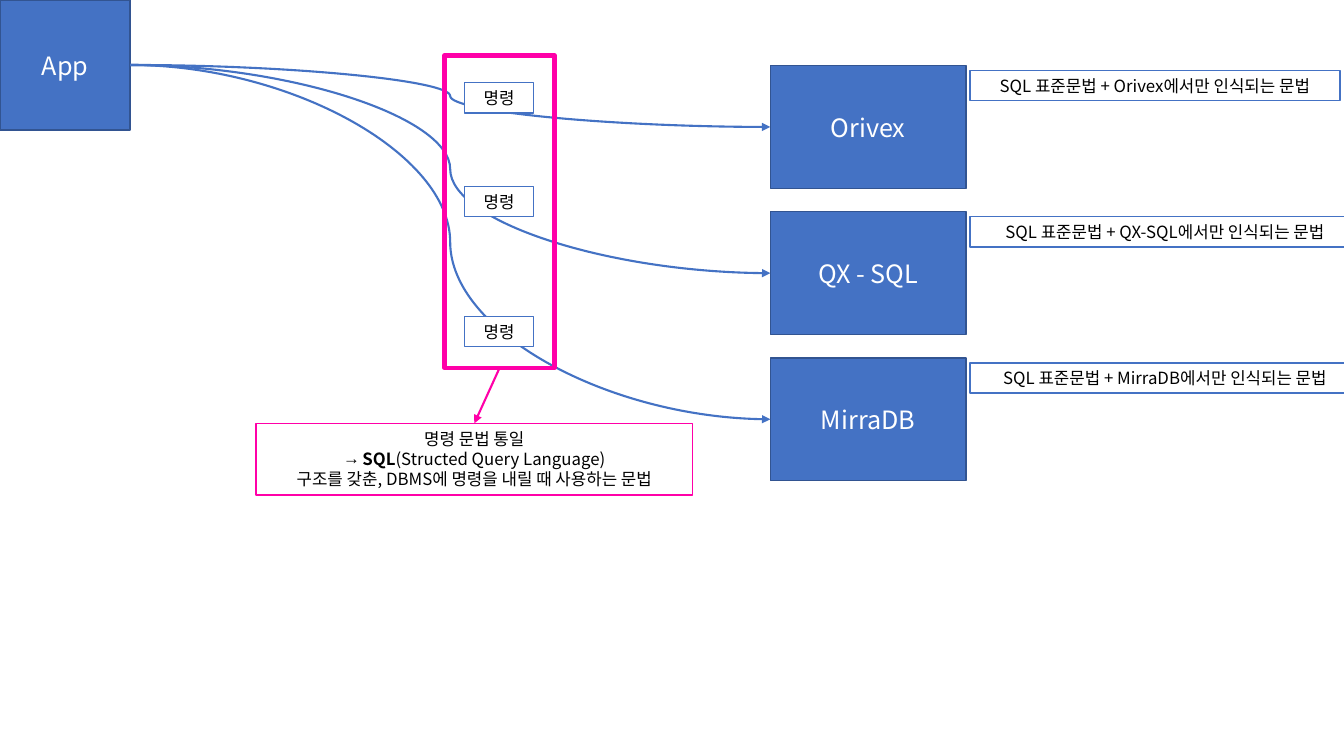
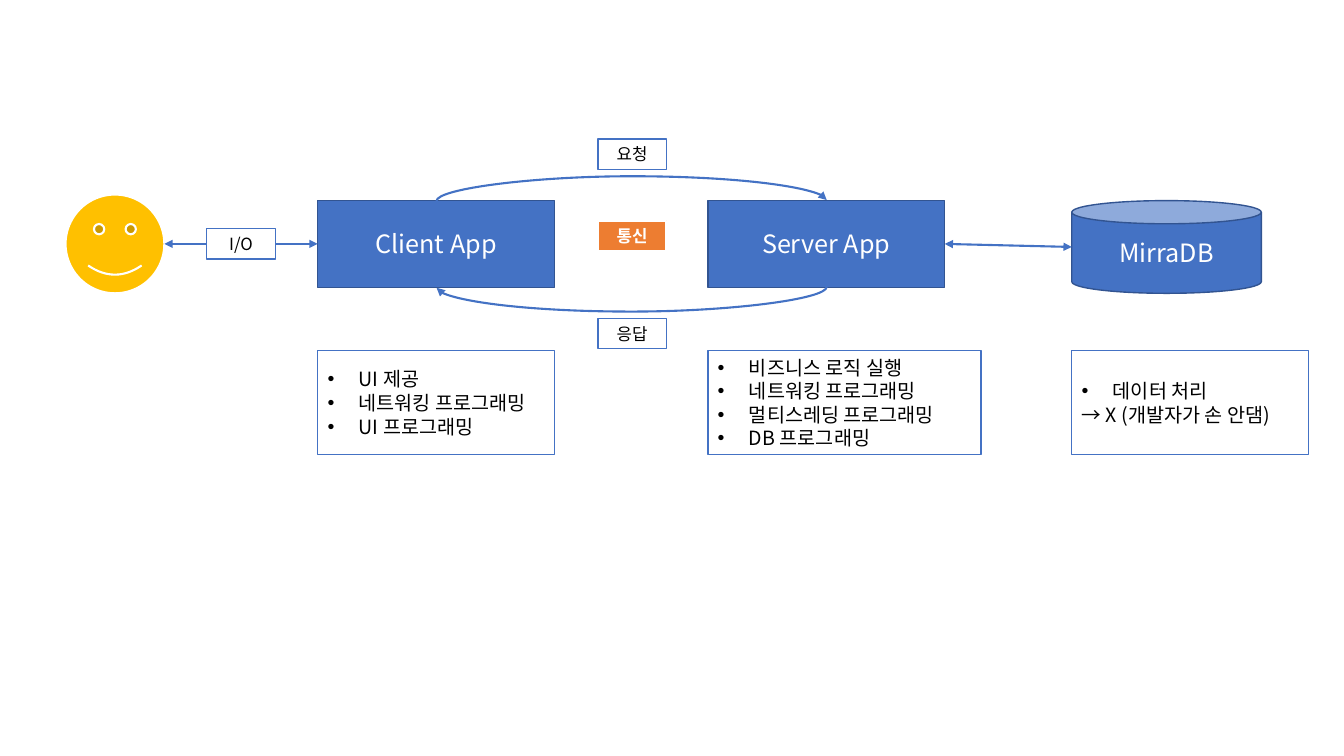
from dataclasses import dataclass

from lxml.etree import SubElement
from pptx import Presentation
from pptx.dml.color import RGBColor as RGB
from pptx.enum.shapes import MSO_CONNECTOR as CXN, MSO_SHAPE as SHAPE
from pptx.enum.text import MSO_ANCHOR as ANCHOR, MSO_AUTO_SIZE as AUTO, PP_ALIGN as ALIGN
from pptx.oxml.ns import qn
from pptx.util import Inches, Pt


@dataclass(frozen=True)
class Theme:
    blue: str = "4472C4"
    navy: str = "325491"
    pink: str = "FF00A8"
    orange: str = "ED7D31"
    yellow: str = "FFC000"
    white: str = "FFFFFF"
    black: str = "000000"
    font: str = "Noto Sans CJK KR"
    node_size: int = 18
    list_size: int = 14
    label_size: int = 12
    leading: float = 1.2
    thin: float = 1
    arrow: float = 1.5
    frame: float = 3.25


T = Theme()
NODE = dict(fill=T.blue, line=T.navy, size=T.node_size, color=T.white)
LABEL = dict(fill=T.white, line=T.blue, size=T.label_size, color=T.black, grow=True)
LIST = dict(fill=T.white, line=T.blue, size=T.list_size, color=T.black, align=ALIGN.LEFT)
INDENTS = {"•": 0.31, "→": 0.19}
TOP, LEFT, BOTTOM, RIGHT = range(4)


def add_box(s, at, lines=(), kind=SHAPE.RECTANGLE, fill=None, line=T.blue, width=T.thin,
            size=T.label_size, color=T.black, align=ALIGN.CENTER, grow=False):
    """Each line is (bullet or None, [(text, bold), ...])."""
    sp = s.shapes.add_shape(kind, *map(Inches, at))
    sp.shadow.inherit = False
    if fill:
        sp.fill.solid()
        sp.fill.fore_color.rgb = RGB.from_string(fill)
    else:
        sp.fill.background()
    sp.line.color.rgb = RGB.from_string(line)
    sp.line.width = Pt(width)
    tf = sp.text_frame
    tf.word_wrap = True
    tf.vertical_anchor = ANCHOR.TOP if grow else ANCHOR.MIDDLE
    if grow:
        tf.auto_size = AUTO.SHAPE_TO_FIT_TEXT
    for i, (bullet, runs) in enumerate(lines):
        p = tf.add_paragraph() if i else tf.paragraphs[0]
        p.alignment = align
        p.line_spacing = Pt(size * T.leading)
        if bullet:
            pPr = p._p.get_or_add_pPr()
            indent = Inches(INDENTS[bullet])
            pPr.set("marL", str(indent))
            pPr.set("indent", str(-indent))
            SubElement(pPr, qn("a:buFont")).set("typeface", "Arial")
            SubElement(pPr, qn("a:buChar")).set("char", bullet)
        for text, bold in runs:
            r = p.add_run()
            r.text = text
            r.font.size = Pt(size)
            r.font.bold = bold
            r.font.name = T.font
            r.font.color.rgb = RGB.from_string(color)
            SubElement(r._r.get_or_add_rPr(), qn("a:ea")).set("typeface", T.font)
    return sp


def add_arrow(s, start, end, kind=CXN.STRAIGHT, color=T.blue, ends=("tailEnd",)):
    """Draw between two points, or glue an end given as (shape, side)."""
    glued = [not isinstance(point[0], (int, float)) for point in (start, end)]
    points = [0 if g else Inches(v) for g, point in zip(glued, (start, end)) for v in point]
    c = s.shapes.add_connector(kind, *points)
    if glued[0]:
        c.begin_connect(*start)
    if glued[1]:
        c.end_connect(*end)
    c.line.color.rgb = RGB.from_string(color)
    c.line.width = Pt(T.arrow)
    for tag in ends:
        SubElement(c.line._get_or_add_ln(), qn(f"a:{tag}")).set("type", "triangle")
    SubElement(c.element.spPr, qn("a:effectLst"))
    return c


prs = Presentation()
prs.slide_width, prs.slide_height = Inches(13.33), Inches(7.5)
blank = prs.slide_layouts[6]

# One app sending commands to three databases
s = prs.slides.add_slide(blank)
app = add_box(s, (0, 0, 1.29, 1.29), [(None, [("App", False)])], **NODE)
databases = [("Orivex", "Orivex", 3.67), ("QX - SQL", "QX-SQL", 3.87), ("MirraDB", "MirraDB", 3.87)]
tops = [0.65 + 1.45 * i for i in range(len(databases))]
nodes = [add_box(s, (7.64, y, 1.94, 1.22), [(None, [(name, False)])], **NODE)
         for y, (name, _, _) in zip(tops, databases)]
for node in nodes:
    add_arrow(s, (app, RIGHT), (node, LEFT), CXN.CURVE)
for y in (0.82, 1.85, 3.14):
    add_box(s, (4.61, y, 0.68, 0.3), [(None, [("명령", False)])], **LABEL)
frame = add_box(s, (4.41, 0.55, 1.09, 3.1), line=T.pink, width=T.frame)
note = add_box(s, (2.54, 4.2, 4.33, 0.71), [
    (None, [("명령 문법 통일", False)]),
    ("→", [("SQL", True), ("(Structed Query Language)", False)]),
    (None, [("구조를 갖춘, DBMS에 명령을 내릴 때 사용하는 문법", False)]),
], **{**LABEL, "line": T.pink})
add_arrow(s, (frame, BOTTOM), (note, TOP), color=T.pink)
for y, (_, name, width) in zip(tops, databases):
    text = f"SQL 표준문법 + {name}에서만 인식되는 문법"
    add_box(s, (9.62, y + 0.05, width, 0.3), [(None, [(text, False)])], **LABEL)

# User, client, server and database
s = prs.slides.add_slide(blank)
client = add_box(s, (3.15, 1.99, 2.35, 0.86), [(None, [("Client App", False)])], **NODE)
add_box(s, (0.65, 1.93, 0.98, 0.98), kind=SHAPE.SMILEY_FACE,
        fill=T.yellow, line=T.white, width=T.arrow)
server = add_box(s, (7.02, 1.99, 2.35, 0.86), [(None, [("Server App", False)])], **NODE)
add_box(s, (10.63, 1.99, 1.88, 0.92), [(None, [("MirraDB", False)])], kind=SHAPE.CAN, **NODE)
both = ("headEnd", "tailEnd")
add_arrow(s, (1.63, 2.42), (client, LEFT), ends=both)

# Request and response arcs: a thin connector turned by 90°, bulging by 25 times its width
span, thickness, bulge = 3.87, 0.01, 25
for start, end, side, y, flip in ((client, server, TOP, 1.99, "1"),
                                  (server, client, BOTTOM, 2.85, "0")):
    c = add_arrow(s, (start, side), (end, side), CXN.CURVE)
    c.left, c.top = Inches(6.26), Inches(y - span / 2)
    c.width, c.height = Inches(thickness), Inches(span)
    xfrm = c.element.spPr.find(qn("a:xfrm"))
    for key, value in (("rot", "5400000"), ("flipH", flip), ("flipV", flip)):
        xfrm.set(key, value)
    geom = c.element.spPr.find(qn("a:prstGeom"))
    avLst = geom.find(qn("a:avLst"))
    gd = SubElement(avLst, qn("a:gd"))
    gd.set("name", "adj1")
    gd.set("fmla", f"val {bulge * 100000}")
add_arrow(s, (server, RIGHT), (10.63, 2.45), ends=both)

duties = [
    (3.15, 2.35, [("•", "UI 제공"), ("•", "네트워킹 프로그래밍"), ("•", "UI 프로그래밍")]),
    (7.02, 2.71, [("•", "비즈니스 로직 실행"), ("•", "네트워킹 프로그래밍"),
                  ("•", "멀티스레딩 프로그래밍"), ("•", "DB 프로그래밍")]),
    (10.63, 2.35, [("•", "데이터 처리"), (None, "→ X (개발자가 손 안댐)")]),
]
for x, width, items in duties:
    lines = [(bullet, [(text, False)]) for bullet, text in items]
    add_box(s, (x, 3.48, width, 1.03), lines, **LIST)
for x, y, text in ((2.05, 2.27, "I/O"), (5.93, 1.38, "요청"), (5.93, 3.16, "응답")):
    add_box(s, (x, y, 0.68, 0.3), [(None, [(text, False)])], **LABEL)
add_box(s, (5.93, 2.19, 0.68, 0.3), [(None, [("통신", True)])],
        fill=T.orange, line=T.white, width=T.arrow, color=T.white, grow=True)

prs.save("out.pptx")
